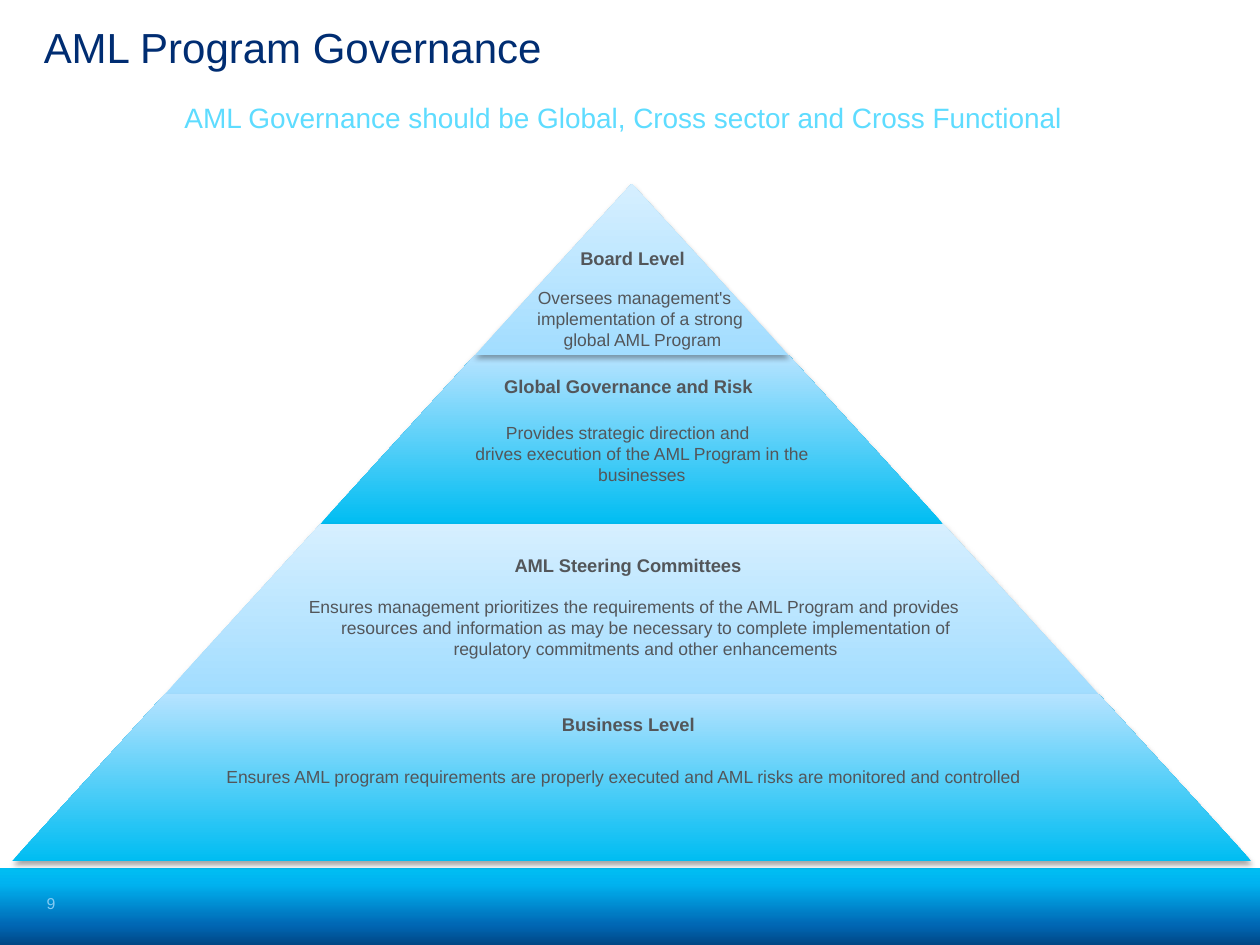
from dataclasses import dataclass

from lxml import etree
from pptx import Presentation
from pptx.dml.color import RGBColor
from pptx.enum.shapes import MSO_SHAPE
from pptx.enum.text import MSO_ANCHOR, MSO_AUTO_SIZE, PP_ALIGN
from pptx.oxml.ns import qn
from pptx.util import Pt

RECTANGLE = MSO_SHAPE.RECTANGLE
LEFT, CENTER = PP_ALIGN.LEFT, PP_ALIGN.CENTER
TOP, MIDDLE = MSO_ANCHOR.TOP, MSO_ANCHOR.MIDDLE
NO_AUTOSIZE = MSO_AUTO_SIZE.NONE

FONT = "Arial"
NAVY, SKY, GRAY, PALE = "002D72", "5EDCFF", "53565A", "84CBF3"
LIGHT_TIER = [(0, "A2DDFF"), (100, "D6EFFF")]
BRIGHT_TIER = [(0, "00BDF2"), (100, "B6E3FF")]
FOOTER_BAND = [(0, "00BDF2"), (2, "00BDF2"), (20, "00B3F0"),
               (75, "0066B3"), (100, "004785")]


@dataclass
class Tier:
    top: float
    bottom: float
    stops: list
    heading: str
    heading_box: tuple
    duty: str
    duty_box: tuple
    hang: float


# Boxes hold offset of centre from the apex, offset from tier top, width, height.
TIERS = [
    Tier(105, 203, LIGHT_TIER, "Board Level", (1, 32.5, 68, 20),
         "Oversees management's implementation of a strong \nglobal AML Program",
         (1.5, 55.5, 159, 44), 9),
    Tier(203, 299.5, BRIGHT_TIER, "Global Governance and Risk", (-1, 8, 151, 20),
         "Provides strategic direction and \n"
         "drives execution of the AML Program in the businesses",
         (-1, 34.5, 258, 44), 13.5),
    Tier(299.5, 396.5, LIGHT_TIER, "AML Steering Committees", (-1, 13.5, 139, 20),
         "Ensures management prioritizes the requirements of the AML Program and "
         "provides resources and information as may be necessary to complete "
         "implementation of regulatory commitments and other enhancements",
         (1, 37.5, 414, 44), 13.5),
    Tier(396.5, 492, BRIGHT_TIER, "Business Level", (-1, 7.5, 85, 20),
         "Ensures AML program requirements are properly executed and AML risks "
         "are monitored and controlled",
         (-5, 37.5, 500, 19.5), 13.5),
]


def color(value):
    return RGBColor.from_string(value)


def place(shape, box):
    shape.left, shape.top, shape.width, shape.height = map(Pt, box)


def fill_gradient(shape, stops, angle):
    shape.fill.gradient()
    shape.fill.gradient_angle = angle
    stop_list = shape._element.spPr.find(qn("a:gradFill")).find(qn("a:gsLst"))
    for stop in list(stop_list):
        stop_list.remove(stop)
    for position, value in stops:
        stop = etree.SubElement(stop_list, qn("a:gs"), pos=str(position * 1000))
        etree.SubElement(stop, qn("a:srgbClr"), val=value)
    shape.line.fill.background()
    shape.shadow.inherit = False


def cast_shadow(shape):
    effects = shape._element.spPr.find(qn("a:effectLst"))
    shadow = etree.SubElement(effects, qn("a:outerShdw"), blurRad=str(Pt(3.1)),
                              dist=str(Pt(1.8)), dir="5400000", rotWithShape="0")
    shade = etree.SubElement(shadow, qn("a:srgbClr"), val="000000")
    etree.SubElement(shade, qn("a:alpha"), val="35000")


def write(frame, text, size, value, align=LEFT, bold=False, insets=(3.6,) * 4,
          wrap=True, anchor=TOP, hang=0):
    frame.auto_size = NO_AUTOSIZE
    frame.word_wrap = wrap
    frame.vertical_anchor = anchor
    (frame.margin_left, frame.margin_top,
     frame.margin_right, frame.margin_bottom) = map(Pt, insets)
    paragraph = frame.paragraphs[0]
    paragraph.text = text
    paragraph.alignment = align
    paragraph.space_before = Pt(0)
    properties = paragraph._p.get_or_add_pPr()
    properties.set("marL", str(Pt(hang)))
    properties.set("indent", str(-Pt(hang)))
    etree.SubElement(properties, qn("a:buNone"))
    font = paragraph.font
    font.name, font.size, font.bold = FONT, Pt(size), bold
    font.color.rgb = color(value)
    return paragraph


def add_label(slide, box, text, size, value, **options):
    label = slide.shapes.add_textbox(*map(Pt, box))
    write(label.text_frame, text, size, value, **options)


def add_header(slide, left, top, width):
    title = slide.shapes.title
    place(title, (left, top, width, 34))
    write(title.text_frame, "AML Program Governance", 24, NAVY,
          insets=(0,) * 4, anchor=MIDDLE)
    subtitle = slide.placeholders[1]
    place(subtitle, (left + 62.5, top + 45.5, 544.5, 26))
    line = write(subtitle.text_frame,
                 "AML Governance should be Global, Cross sector and Cross Functional",
                 16, SKY, align=CENTER, insets=(0, 3.6, 7.2, 3.6))
    line.line_spacing = 0.95


def add_footer(slide, left, top, width, height):
    band = slide.shapes.add_shape(RECTANGLE, *map(Pt, (left, top, width, height)))
    fill_gradient(band, FOOTER_BAND, 270)
    add_label(slide, (left + 19.5, top + 11, 27, 21.5), "9", 9, PALE,
              insets=(7.2, 3.6, 7.2, 3.6))


def add_pyramid(slide, left, top, width, height):
    apex = left + width / 2

    def add_tier(tier):
        upper, lower = (width / 2 * (y - top) / height
                        for y in (tier.top, tier.bottom))
        corners = [(apex - upper, tier.top), (apex - lower, tier.bottom),
                   (apex + lower, tier.bottom)]
        if upper:
            corners.append((apex + upper, tier.top))
        points = [(Pt(x), Pt(y)) for x, y in corners]
        outline = slide.shapes.build_freeform(*points[0])
        outline.add_line_segments(points[1:], close=True)
        shape = outline.convert_to_shape()
        fill_gradient(shape, tier.stops, 90)
        cast_shadow(shape)

    def text_box(tier, box):
        shift, drop, box_width, box_height = box
        return apex + shift - box_width / 2, tier.top + drop, box_width, box_height

    board, governance, *lower_tiers = TIERS
    for tier in (governance, board, *lower_tiers):
        add_tier(tier)
    for tier in TIERS:
        add_label(slide, text_box(tier, tier.duty_box), tier.duty, 10, GRAY,
                  align=CENTER, hang=tier.hang)
        add_label(slide, text_box(tier, tier.heading_box), tier.heading, 10.5, GRAY,
                  bold=True, wrap=False)


def main():
    deck = Presentation()
    deck.slide_width, deck.slide_height = Pt(720), Pt(540)
    slide = deck.slides.add_slide(deck.slide_layouts[1])
    add_footer(slide, 0, 496, 720, 44)
    add_header(slide, 25, 9.5, 670)
    add_pyramid(slide, 7, 105, 708, 387)
    deck.save("out.pptx")


if __name__ == "__main__":
    main()
